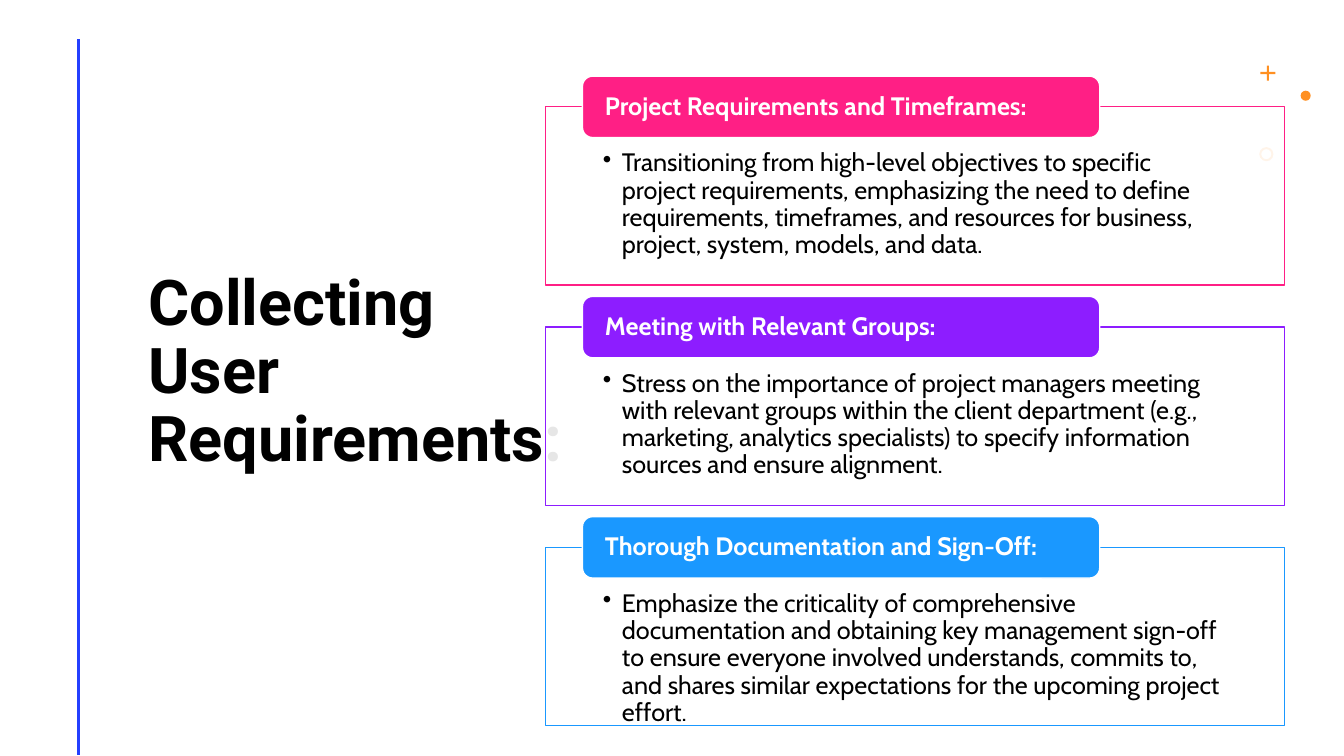
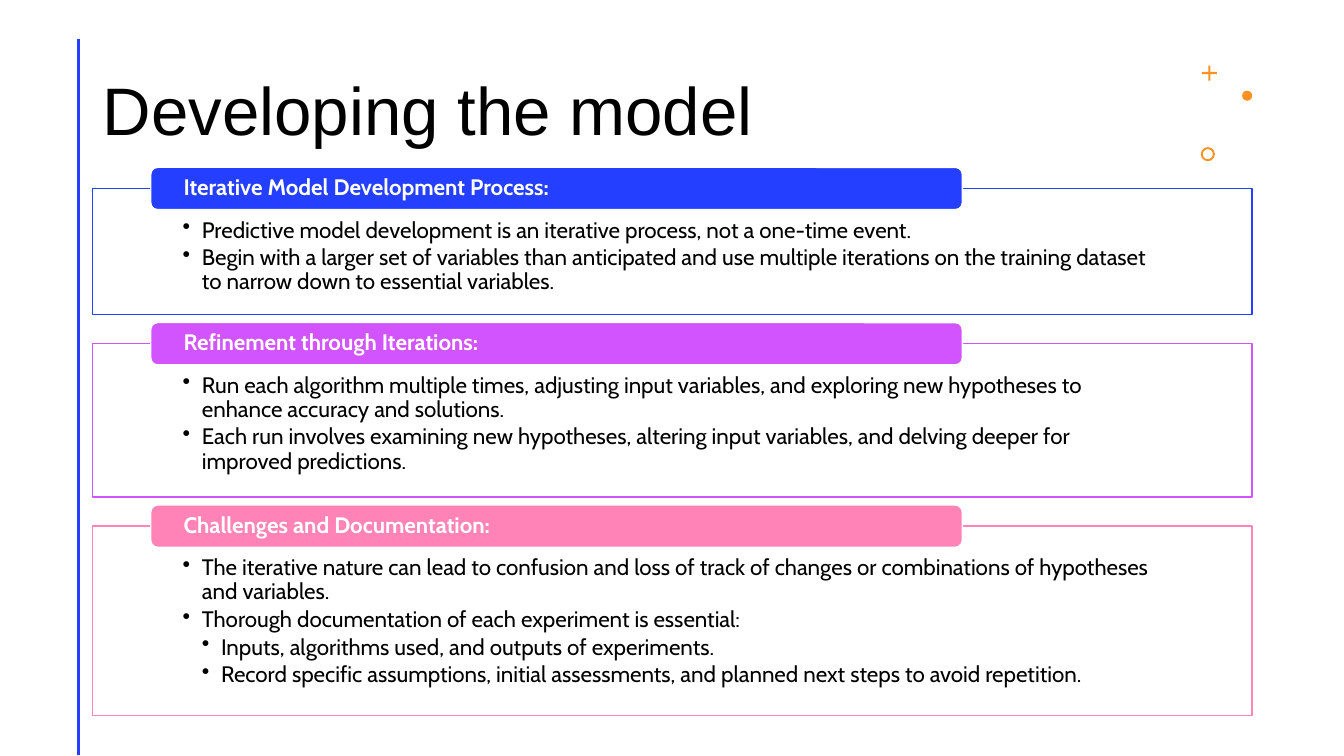
import pptx
import pptx.util
import pptx.dml.color
import pptx.enum.shapes
import pptx.enum.text
import pptx.oxml.ns
from dataclasses import dataclass
from lxml import etree

Inches, Pt = pptx.util.Inches, pptx.util.Pt
RGB = pptx.dml.color.RGBColor.from_string
SHAPE = pptx.enum.shapes.MSO_SHAPE
ANCHOR = pptx.enum.text.MSO_ANCHOR
LEFT = pptx.enum.text.PP_ALIGN.LEFT
qn = pptx.oxml.ns.qn


@dataclass(frozen=True)
class Theme:
    ink: str = "000000"
    paper: str = "FFFFFF"
    rule: str = "243FFF"
    accent: str = "FF9022"
    body_font: str = "Cabin"
    leading: float = 0.9
    indent: float = 0.19
    rule_x: float = 0.78
    rule_top: float = 0.39
    rule_bottom: float = 7.49
    # Shares of a card's width
    tab_offset: float = 0.05
    tab_width: float = 0.7
    tab_inset: float = 0.0265
    card_inset: float = 0.0776


THEME = Theme()

# Each card: colour, heading, height, then (level, text) bullets.
SLIDES = [
    dict(
        title="Collecting User Requirements:",
        title_box=(1.37, 0.65, 4.31, 6.11),
        title_font=dict(name="Roboto", size=Pt(45), bold=True),
        ornament_x=12.49,
        stack=dict(left=5.41, top=1.06, width=7.33, gap=0.415,
                   tab_height=0.61, insets=(0.43, 0.14), size=18),
        cards=[
            ("FF1F85", "Project Requirements and Timeframes:", 1.77, [
                (1, "Transitioning from high-level objectives to specific project requirements, "
                    "emphasizing the need to define requirements, timeframes, and resources for "
                    "business, project, system, models, and data.")]),
            ("8D1DFF", "Meeting with Relevant Groups:", 1.77, [
                (1, "Stress on the importance of project managers meeting with relevant groups "
                    "within the client department (e.g., marketing, analytics specialists) to "
                    "specify information sources and ensure alignment.")]),
            ("1A98FF", "Thorough Documentation and Sign-Off:", 1.77, [
                (1, "Emphasize the criticality of comprehensive documentation and obtaining key "
                    "management sign-off to ensure everyone involved understands, commits to, and "
                    "shares similar expectations for the upcoming project effort.")]),
        ],
    ),
    dict(
        title="Developing the model",
        title_box=(0.92, 0.4, 10.76, 1.45),
        title_font=dict(name="Arial", size=Pt(48), bold=False),
        ornament_x=11.91,
        stack=dict(left=0.92, top=1.87, width=11.5, gap=0.29,
                   tab_height=0.42, insets=(0.3, 0.12), size=16),
        cards=[
            ("243FFF", "Iterative Model Development Process:", 1.25, [
                (1, "Predictive model development is an iterative process, not a one-time event."),
                (1, "Begin with a larger set of variables than anticipated and use multiple "
                    "iterations on the training dataset to narrow down to essential variables.")]),
            ("D154FF", "Refinement through Iterations:", 1.52, [
                (1, "Run each algorithm multiple times, adjusting input variables, and exploring "
                    "new hypotheses to enhance accuracy and solutions."),
                (1, "Each run involves examining new hypotheses, altering input variables, and "
                    "delving deeper for improved predictions.")]),
            ("FF83B6", "Challenges and Documentation:", 1.88, [
                (1, "The iterative nature can lead to confusion and loss of track of changes or "
                    "combinations of hypotheses and variables."),
                (1, "Thorough documentation of each experiment is essential:"),
                (2, "Inputs, algorithms used, and outputs of experiments."),
                (2, "Record specific assumptions, initial assessments, and planned next steps to "
                    "avoid repetition.")]),
        ],
    ),
]

# Preset, offset from the ornament's left edge, top, size, adjustment
ORNAMENTS = [
    (SHAPE.CROSS, 0.01, 0.65, 0.15, 0.43),
    (SHAPE.OVAL, 0.41, 0.9, 0.1, None),
    (SHAPE.DONUT, 0, 1.46, 0.14, 0.14),
]


def apply(target, **values):
    for key, value in values.items():
        setattr(target, key, value)


def add_panel(slide, preset, box, fill, line=None):
    panel = slide.shapes.add_shape(preset, *map(Inches, box))
    panel.shadow.inherit = False
    panel.fill.solid()
    panel.fill.fore_color.rgb = RGB(fill)
    if line:
        panel.line.color.rgb = RGB(line)
        panel.line.width = Pt(1)
    else:
        panel.line.fill.background()
    return panel


def write(paragraph, text, color, **font):
    apply(paragraph, alignment=LEFT, line_spacing=THEME.leading)
    run = paragraph.add_run()
    run.text = text
    apply(run.font, **font)
    run.font.color.rgb = RGB(color)


def set_frame(frame, anchor, left, top, right, bottom):
    apply(frame, word_wrap=True, vertical_anchor=anchor,
          auto_size=pptx.enum.text.MSO_AUTO_SIZE.NONE,
          margin_left=Inches(left), margin_top=Inches(top),
          margin_right=Inches(right), margin_bottom=Inches(bottom))


def set_bullet(paragraph, level):
    paragraph.level = level
    properties = paragraph._p.get_or_add_pPr()
    properties.set("marL", str(Inches(THEME.indent * level)))
    properties.set("indent", str(-Inches(THEME.indent)))
    etree.SubElement(properties, qn("a:buChar")).set("char", "•")


def add_title(slide, text, box, font):
    title = slide.shapes.title
    apply(title, **dict(zip(("left", "top", "width", "height"), map(Inches, box))))
    set_frame(title.text_frame, ANCHOR.MIDDLE, 0.1, 0.05, 0.1, 0.05)
    write(title.text_frame.paragraphs[0], text, THEME.ink, **font)


def add_decor(slide, ornament_x):
    """Draw the side rule and the three small ornaments at top right."""
    x = Inches(THEME.rule_x)
    rule = slide.shapes.add_connector(
        pptx.enum.shapes.MSO_CONNECTOR.STRAIGHT,
        x, Inches(THEME.rule_top), x, Inches(THEME.rule_bottom))
    rule.line.color.rgb = RGB(THEME.rule)
    rule.line.width = Pt(2)
    etree.SubElement(rule._element.spPr, qn("a:effectLst"))
    for preset, offset, top, size, adjustment in ORNAMENTS:
        ornament = add_panel(slide, preset, (ornament_x + offset, top, size, size), THEME.accent)
        if adjustment is not None:
            ornament.adjustments[0] = adjustment


def add_card(slide, box, color, heading, bullets, tab_height, insets, size):
    left, top, width, _ = box
    card = add_panel(slide, SHAPE.RECTANGLE, box, THEME.paper, color)
    fill_color = card._element.spPr.find(qn("a:solidFill"))[0]
    etree.SubElement(fill_color, qn("a:alpha")).set("val", "90000")
    side = THEME.card_inset * width
    frame = card.text_frame
    set_frame(frame, ANCHOR.TOP, side, insets[0], side, insets[1])
    for index, (level, text) in enumerate(bullets):
        paragraph = frame.add_paragraph() if index else frame.paragraphs[0]
        set_bullet(paragraph, level)
        paragraph.space_after = Pt(0.15 * size)
        write(paragraph, text, THEME.ink, name=THEME.body_font, size=Pt(size))

    tab_box = (left + THEME.tab_offset * width, top - tab_height / 2,
               THEME.tab_width * width, tab_height)
    tab = add_panel(slide, SHAPE.ROUNDED_RECTANGLE, tab_box, color, THEME.paper)
    side = THEME.tab_inset * width
    set_frame(tab.text_frame, ANCHOR.MIDDLE, side, 0, side, 0)
    write(tab.text_frame.paragraphs[0], heading, THEME.paper,
          name=THEME.body_font, size=Pt(size), bold=True)


def add_cards(slide, cards, left, top, width, gap, **style):
    for color, heading, height, bullets in cards:
        add_card(slide, (left, top, width, height), color, heading, bullets, **style)
        top += height + gap


def main():
    deck = pptx.Presentation()
    apply(deck, slide_width=Inches(13.33), slide_height=Inches(7.5))
    title_only = deck.slide_layouts[5]
    for content in SLIDES:
        slide = deck.slides.add_slide(title_only)
        add_title(slide, content["title"], content["title_box"], content["title_font"])
        add_decor(slide, content["ornament_x"])
        add_cards(slide, content["cards"], **content["stack"])
    deck.save("out.pptx")


if __name__ == "__main__":
    main()
